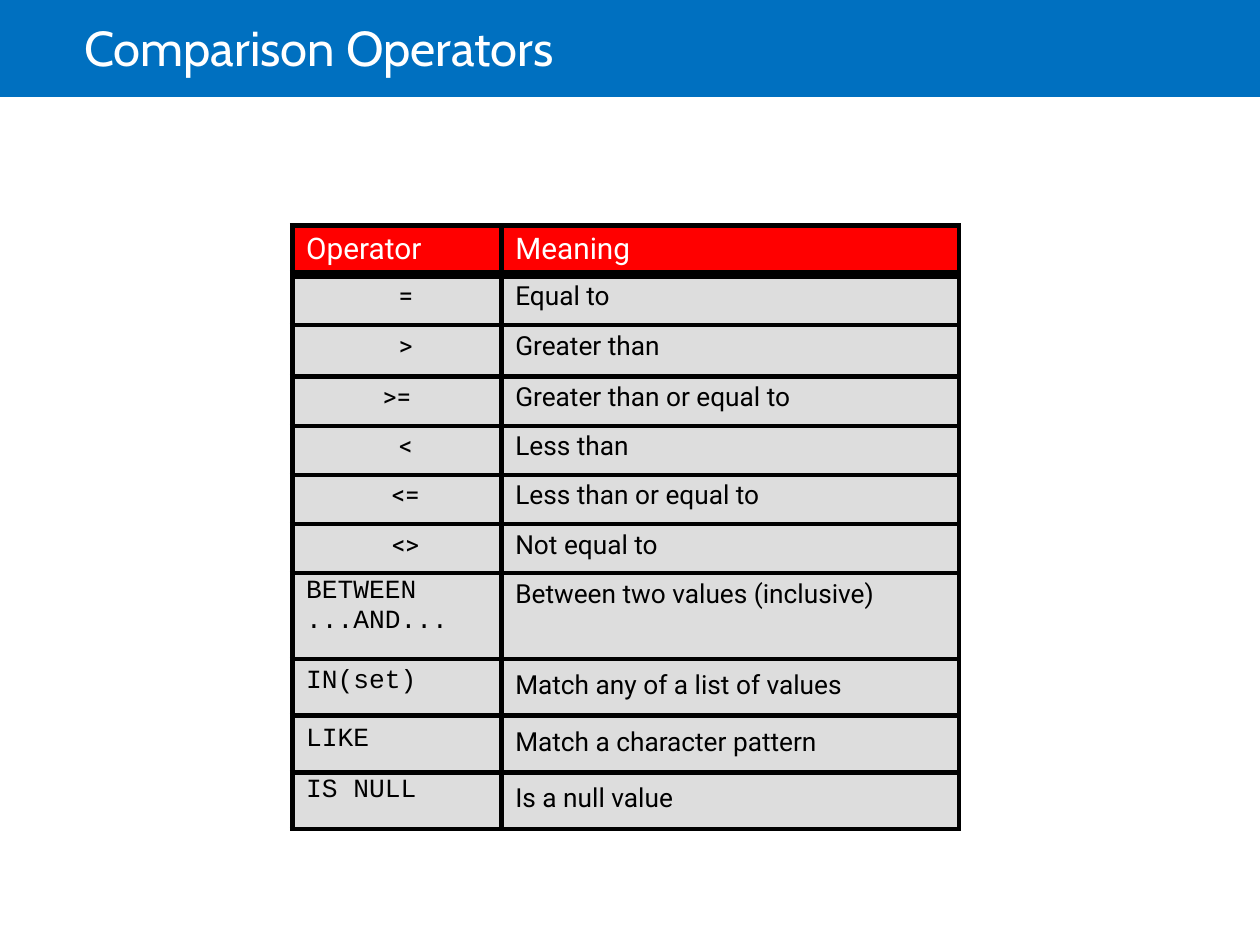
from dataclasses import dataclass

from lxml import etree
from pptx import Presentation
from pptx.dml.color import RGBColor
from pptx.enum.shapes import MSO_SHAPE
from pptx.enum.text import MSO_ANCHOR, PP_ALIGN
from pptx.oxml.ns import qn
from pptx.util import Inches, Pt

RECTANGLE = MSO_SHAPE.RECTANGLE
MIDDLE = MSO_ANCHOR.MIDDLE
LEFT, CENTER = PP_ALIGN.LEFT, PP_ALIGN.CENTER


@dataclass(frozen=True)
class Theme:
    banner: str = "0070C0"
    header: str = "FF0000"
    body: str = "DDDDDD"
    light: str = "FFFFFF"
    dark: str = "000000"
    title_font: str = "Cabin"
    text_font: str = "Roboto"
    code_font: str = "Courier New"
    title_size: int = 28
    header_size: int = 17
    body_size: int = 15
    border: int = 3
    header_border: int = 6


THEME = Theme()
COLUMN_WIDTHS = (1.66, 3.63)
TEXT_INDENT = 0.11
SYMBOL_INDENT = 0.14

# symbol, meaning, row height, top margin, symbol indent
SYMBOL_ROWS = [
    ("=", "Equal to", 0.4, 0.05, SYMBOL_INDENT),
    (">", "Greater than", 0.41, 0.05, SYMBOL_INDENT),
    (">=", "Greater than or equal to", 0.39, 0.04, 0),
    ("<", "Less than", 0.39, 0.04, SYMBOL_INDENT),
    ("<=", "Less than or equal to", 0.39, 0.04, SYMBOL_INDENT),
    ("<>", "Not equal to", 0.39, 0.05, SYMBOL_INDENT),
]

# keyword, meaning, row height, keyword top margin, meaning top margin
KEYWORD_ROWS = [
    ("BETWEEN\n...AND...", "Between two values (inclusive)", 0.68, 0.03, 0.05),
    ("IN(set)", "Match any of a list of values", 0.45, 0.06, 0.09),
    ("LIKE", "Match a character pattern", 0.45, 0.07, 0.09),
    ("IS NULL", "Is a null value", 0.45, 0.03, 0.09),
]


def format_font(font, name, size, color):
    font.name = name
    font.size = Pt(size)
    font.color.rgb = RGBColor.from_string(color)


def add_banner(slide, width):
    banner = slide.shapes.add_shape(RECTANGLE, 0, 0, width, Inches(0.77))
    banner.shadow.inherit = False
    banner.fill.solid()
    banner.fill.fore_color.rgb = RGBColor.from_string(THEME.banner)
    banner.line.fill.background()


def add_title(slide, text):
    title = slide.shapes.add_textbox(Inches(0.67), Inches(0.13), Inches(6.85), Inches(0.48))
    frame = title.text_frame
    frame.word_wrap = True
    frame.vertical_anchor = MIDDLE
    frame.margin_left = frame.margin_right = frame.margin_bottom = 0
    frame.margin_top = Inches(0.01)
    frame.text = text
    format_font(frame.paragraphs[0].runs[0].font, THEME.title_font, THEME.title_size, THEME.light)


def set_borders(cell, top, bottom):
    """Draw solid borders; must run before the cell's fill is set."""
    properties = cell._tc.get_or_add_tcPr()
    widths = {"lnL": THEME.border, "lnR": THEME.border, "lnT": top, "lnB": bottom}
    for side, width in widths.items():
        line = etree.SubElement(properties, qn(f"a:{side}"), w=str(Pt(width)))
        fill = etree.SubElement(line, qn("a:solidFill"))
        etree.SubElement(fill, qn("a:srgbClr"), val=THEME.dark)


def fill_cell(cell, text, margin_top, indent=TEXT_INDENT, font_name=THEME.text_font,
              alignment=LEFT, is_header=False, top=THEME.border):
    set_borders(cell, top, THEME.header_border if is_header else THEME.border)
    cell.fill.solid()
    cell.fill.fore_color.rgb = RGBColor.from_string(THEME.header if is_header else THEME.body)
    cell.margin_left = cell.margin_right = cell.margin_bottom = 0
    cell.margin_top = Inches(margin_top)
    cell.text_frame.text = text
    size = THEME.header_size if is_header else THEME.body_size
    color = THEME.light if is_header else THEME.dark
    for paragraph in cell.text_frame.paragraphs:
        paragraph.alignment = alignment
        paragraph._p.get_or_add_pPr().set("marL", str(Inches(indent)))
        for run in paragraph.runs:
            format_font(run.font, font_name, size, color)


def add_operator_table(slide):
    heights = [0.39] + [row[2] for row in SYMBOL_ROWS + KEYWORD_ROWS]
    frame = slide.shapes.add_table(
        len(heights), len(COLUMN_WIDTHS), Inches(2.32), Inches(1.79),
        Inches(sum(COLUMN_WIDTHS)), Inches(sum(heights)))
    table = frame.table
    table.first_row = table.horz_banding = False
    for column, width in zip(table.columns, COLUMN_WIDTHS):
        column.width = Inches(width)
    for row, height in zip(table.rows, heights):
        row.height = Inches(height)

    for column, heading in enumerate(("Operator", "Meaning")):
        fill_cell(table.cell(0, column), heading, 0.05, is_header=True)
    for row, (symbol, meaning, _, margin, indent) in enumerate(SYMBOL_ROWS, start=1):
        top = THEME.header_border if row == 1 else THEME.border
        fill_cell(table.cell(row, 0), symbol, margin, indent, alignment=CENTER, top=top)
        fill_cell(table.cell(row, 1), meaning, margin, top=top)
    first_keyword_row = len(SYMBOL_ROWS) + 1
    for row, (keyword, meaning, _, keyword_margin, meaning_margin) in enumerate(
            KEYWORD_ROWS, start=first_keyword_row):
        fill_cell(table.cell(row, 0), keyword, keyword_margin, font_name=THEME.code_font)
        fill_cell(table.cell(row, 1), meaning, meaning_margin)


def main():
    presentation = Presentation()
    presentation.slide_width = Inches(10)
    presentation.slide_height = Inches(7.5)
    slide = presentation.slides.add_slide(presentation.slide_layouts[6])
    add_banner(slide, presentation.slide_width)
    add_title(slide, "Comparison Operators")
    add_operator_table(slide)
    presentation.save("out.pptx")


if __name__ == "__main__":
    main()
